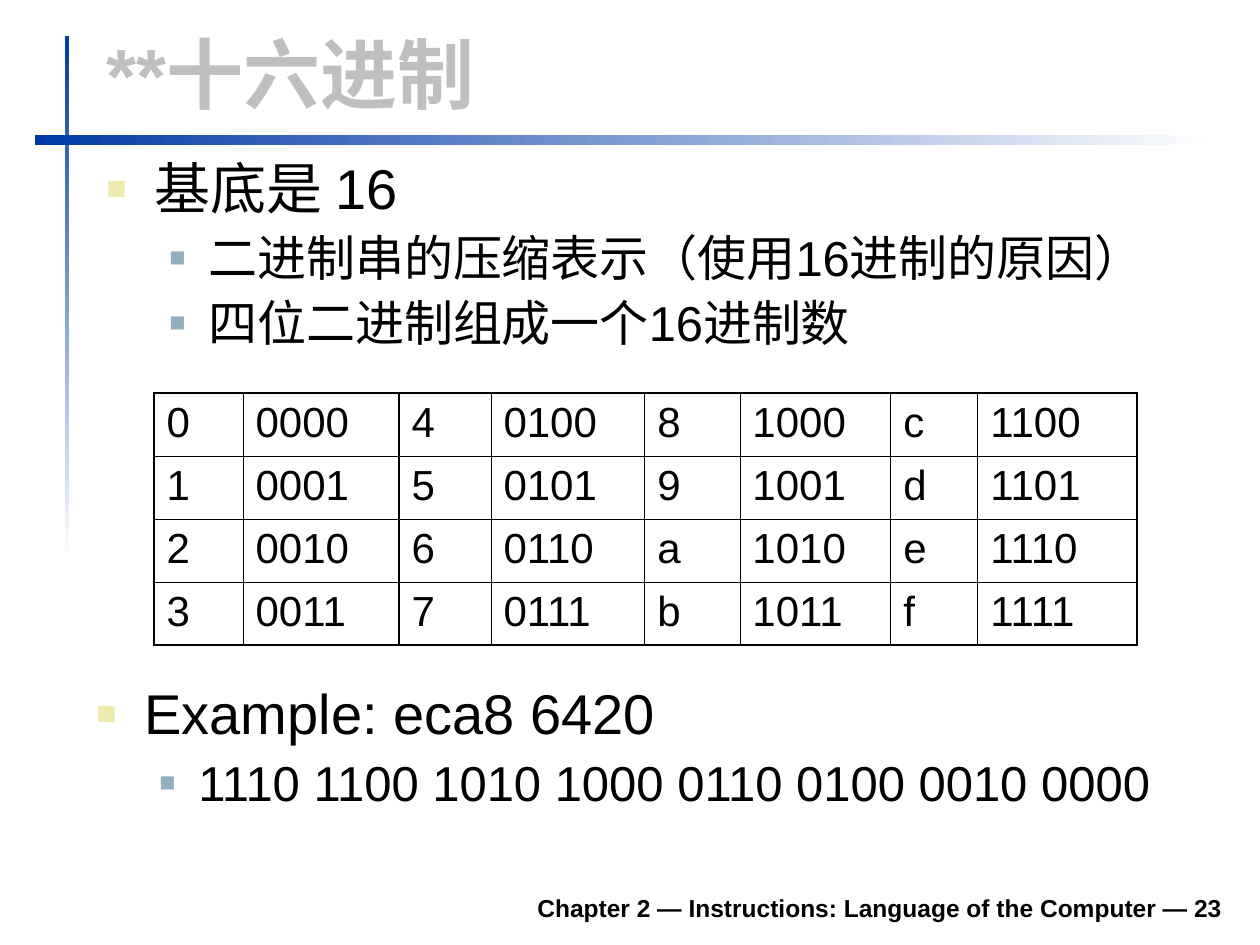
"""Build the slide about hexadecimal numbers."""
from lxml.etree import SubElement
from pptx import Presentation
from pptx.dml.color import RGBColor
from pptx.enum.shapes import MSO_SHAPE as Preset
from pptx.enum.text import MSO_ANCHOR as Anchor, MSO_AUTO_SIZE as AutoSize, PP_ALIGN as Align
from pptx.oxml.ns import qn
from pptx.util import Pt

PX = 914400 / 126
BLACK = RGBColor(0x00, 0x00, 0x00)
WHITE = RGBColor(0xFF, 0xFF, 0xFF)
BLUE = RGBColor(0x00, 0x39, 0xA6)
GREY = RGBColor(0xBF, 0xBF, 0xBF)
SAND = RGBColor(0xEC, 0xEA, 0xAC)
STEEL = RGBColor(0x91, 0xAF, 0xBF)

LEVELS = (
    {"size": 32, "left": 48, "hang": 48, "before": 8, "bullet": SAND, "percent": 60},
    {"size": 28, "left": 102, "hang": 39, "before": 7, "bullet": STEEL, "percent": 55},
)
HEX_DIGITS = "0123456789abcdef"
DIGIT_ROWS = 4
COLUMN_WIDTHS = (89, 156, 92, 154, 95, 151, 87, 159)
ROW_HEIGHT = 63
OUTER, GROUP, INNER = 1.08, 0.75, 0.45


def emu(px):
    """Turn px into EMU."""
    return round(px * PX)


def box(left, top, width, height):
    """Turn a px rectangle into EMU."""
    return [emu(px) for px in (left, top, width, height)]


def apply(target, formats):
    """Set each attribute of target from a dict of format values."""
    for attribute, value in formats.items():
        setattr(target, attribute, value)


def style_font(font, size, color=BLACK, bold=False):
    """Give a font its face, size, colour and weight."""
    apply(font, {"name": "Arial", "size": Pt(size), "bold": bold})
    font.color.rgb = color


def add_rule(slide, area, angle):
    """Draw a thin bar that fades from blue to white."""
    rule = slide.shapes.add_shape(Preset.RECTANGLE, *box(*area))
    rule.shadow.inherit = False
    rule.line.fill.background()
    rule.fill.gradient()
    rule.fill.gradient_angle = angle
    for stop, color in zip(rule.fill.gradient_stops, (BLUE, WHITE)):
        stop.color.rgb = color


def add_frame(slide, area, **formats):
    """Add a wrapping text box and return its text frame."""
    frame = slide.shapes.add_textbox(*box(*area)).text_frame
    apply(frame, {"word_wrap": True, **formats})
    return frame


def add_line(slide, area, text, size, color, align):
    """Add one bold line that rests on the bottom of its box."""
    line = add_frame(slide, area, vertical_anchor=Anchor.BOTTOM).paragraphs[0]
    apply(line, {"text": text, "alignment": align})
    style_font(line.font, size, color, True)


def add_bullet(paragraph, look):
    """Give a paragraph its square bullet and hanging indent."""
    props = paragraph._p.get_or_add_pPr()
    props.set("marL", str(emu(look["left"])))
    props.set("indent", str(-emu(look["hang"])))
    color = SubElement(props, qn("a:buClr"))
    SubElement(color, qn("a:srgbClr"), val=str(look["bullet"]))
    SubElement(props, qn("a:buSzPct"), val=str(look["percent"] * 1000))
    SubElement(props, qn("a:buFont"), typeface="Arial")
    SubElement(props, qn("a:buChar"), char="■")


def add_outline(slide, area, points):
    """Add bulleted points, each given as a level and its text."""
    frame = add_frame(slide, area, auto_size=AutoSize.NONE)
    for index, (level, text) in enumerate(points):
        point = frame.add_paragraph() if index else frame.paragraphs[0]
        look = LEVELS[level]
        add_bullet(point, look)
        before = Pt(look["before"] if index else 0)
        apply(point, {"text": text, "level": level, "line_spacing": 0.9, "space_before": before})
        style_font(point.font, look["size"])


def add_borders(cell, widths):
    """Draw the four black borders of a cell."""
    props = cell._tc.get_or_add_tcPr()
    for index, (side, width) in enumerate(widths.items()):
        border = SubElement(props, qn(f"a:ln{side}"), w=str(Pt(width)))
        props.remove(border)
        props.insert(index, border)
        fill = SubElement(border, qn("a:solidFill"))
        SubElement(fill, qn("a:srgbClr"), val=str(BLACK))


def border_widths(row, column):
    """Return border widths: heavy outside, medium between digit groups."""
    last_column = len(COLUMN_WIDTHS) - 1
    edge = GROUP if column % 2 else INNER
    start = INNER if column % 2 else GROUP
    return {
        "L": start if column else OUTER,
        "R": edge if column < last_column else OUTER,
        "T": INNER if row else OUTER,
        "B": INNER if row < DIGIT_ROWS - 1 else OUTER,
    }


def add_digit_table(slide, left, top):
    """Add the table that pairs each hex digit with its four bits."""
    area = box(left, top, sum(COLUMN_WIDTHS), ROW_HEIGHT * DIGIT_ROWS)
    table = slide.shapes.add_table(DIGIT_ROWS, len(COLUMN_WIDTHS), *area).table
    apply(table, {"first_row": False, "horz_banding": False})
    for column, width in zip(table.columns, COLUMN_WIDTHS):
        column.width = emu(width)
    for value, digit in enumerate(HEX_DIGITS):
        group, row = divmod(value, DIGIT_ROWS)
        for offset, text in enumerate((digit, f"{value:04b}")):
            column = group * 2 + offset
            cell = table.cell(row, column)
            cell.text = text
            cell.fill.background()
            style_font(cell.text_frame.paragraphs[0].font, 24)
            add_borders(cell, border_widths(row, column))


def main():
    """Build and save the slide."""
    deck = Presentation()
    apply(deck, {"slide_width": emu(1260), "slide_height": emu(945)})
    slide = deck.slides.add_slide(deck.slide_layouts[6])
    add_rule(slide, (65, 36, 4, 525), 270)
    add_rule(slide, (35, 135, 1180, 10), 0)
    add_line(slide, (233, 880, 1002, 49),
             "Chapter 2 — Instructions: Language of the Computer — 23", 14, BLACK, Align.RIGHT)
    add_line(slide, (94, 20, 1138, 105), "**十六进制", 44, GREY, Align.LEFT)
    add_outline(slide, (94, 155, 1139, 218), (
        (0, "基底是 16"),
        (1, "二进制串的压缩表示（使用16进制的原因）"),
        (1, "四位二进制组成一个16进制数"),
    ))
    add_digit_table(slide, 154, 393)
    add_outline(slide, (84, 680, 1139, 159), (
        (0, "Example: eca8 6420"),
        (1, "1110 1100 1010 1000 0110 0100 0010 0000"),
    ))
    deck.save("out.pptx")


if __name__ == "__main__":
    main()
